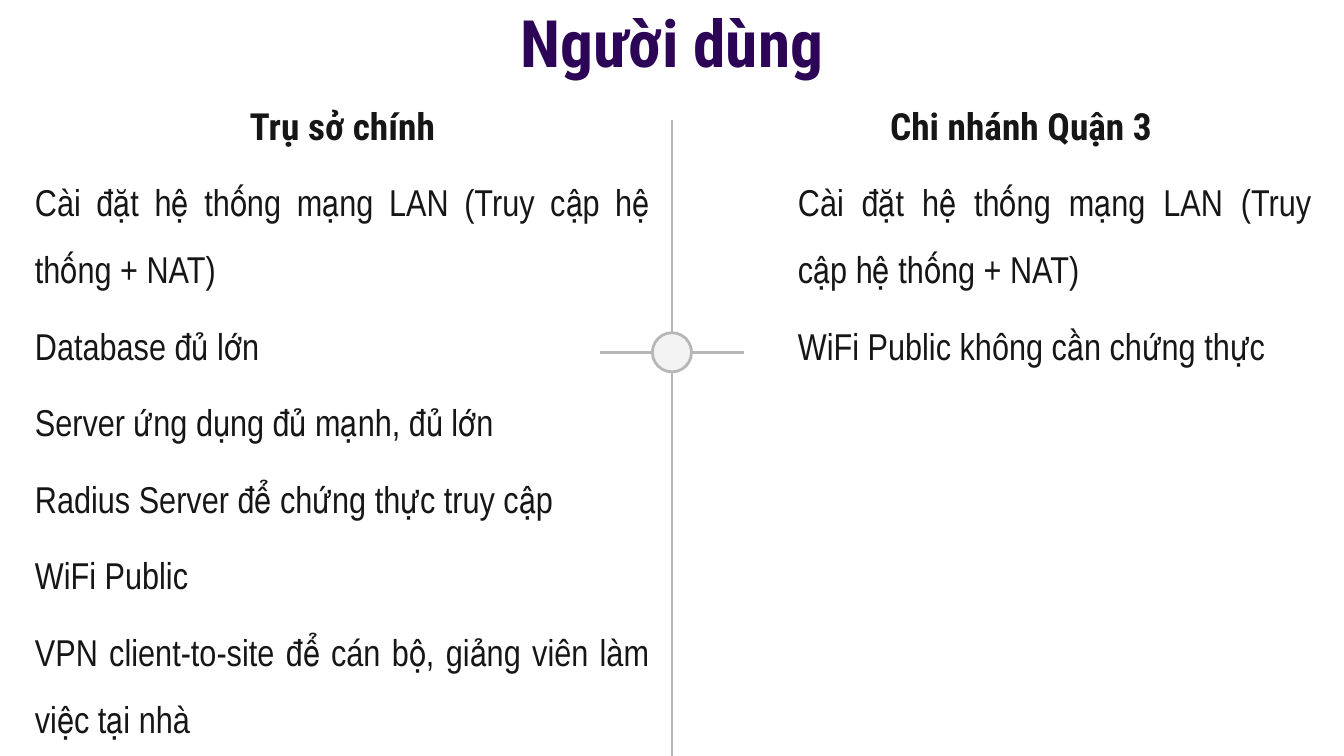
from lxml import etree
from pptx import Presentation
from pptx.dml.color import RGBColor
from pptx.enum.shapes import MSO_CONNECTOR, MSO_SHAPE
from pptx.enum.text import MSO_ANCHOR, MSO_AUTO_SIZE, PP_ALIGN
from pptx.oxml.ns import qn
from pptx.util import Cm, Pt

STRAIGHT = MSO_CONNECTOR.STRAIGHT
OVAL = MSO_SHAPE.OVAL
TOP, BOTTOM = MSO_ANCHOR.TOP, MSO_ANCHOR.BOTTOM
CENTER, JUSTIFY = PP_ALIGN.CENTER, PP_ALIGN.JUSTIFY
NO_AUTOFIT = MSO_AUTO_SIZE.NONE

HEAD_FONT, BODY_FONT = "Roboto Condensed", "Arial Narrow"
PURPLE, INK, GREY, PALE = "2D0557", "161616", "B7B7B7", "F3F3F3"
WIDTH, HEIGHT = 25.4, 14.29
CENTER_X, NODE_Y = WIDTH / 2, 6.66
NODE_SIZE, ARM = 0.74, 1.0

LAN = "Cài đặt hệ thống mạng LAN (Truy cập hệ thống + NAT)"
HEADQUARTERS = [
    LAN,
    "Database đủ lớn",
    "Server ứng dụng đủ mạnh, đủ lớn",
    "Radius Server để chứng thực truy cập",
    "WiFi Public",
    "VPN client-to-site để cán bộ, giảng viên làm việc tại nhà",
]
BRANCH = [LAN, "WiFi Public không cần chứng thực"]


def rgb(color):
    return RGBColor.from_string(color)


def place(sp, left, top, width, height, anchor=TOP):
    """Move a text placeholder and give it even insets; return its text frame."""
    sp.left, sp.top, sp.width, sp.height = map(Cm, (left, top, width, height))
    tf = sp.text_frame
    tf.word_wrap = True
    tf.auto_size = NO_AUTOFIT
    tf.vertical_anchor = anchor
    tf.margin_left = tf.margin_right = tf.margin_top = tf.margin_bottom = Cm(0.25)
    return tf


def write(p, text, size=20, font=BODY_FONT, color=INK, bold=False,
          align=JUSTIFY, spacing=1.5, before=5, indent=0):
    p.alignment = align
    p.line_spacing = spacing
    p.space_before = Pt(before)
    pPr = p._p.get_or_add_pPr()
    pPr.set("marL", str(Cm(indent)))
    pPr.set("indent", "0")
    etree.SubElement(pPr, qn("a:buNone"))
    r = p.add_run()
    r.text = text
    r.font.size, r.font.name, r.font.bold = Pt(size), font, bold
    r.font.color.rgb = rgb(color)


def fill_column(tf, heading, items, indent=0):
    write(tf.paragraphs[0], heading, font=HEAD_FONT, bold=True, align=CENTER)
    for item in items:
        write(tf.add_paragraph(), item, indent=indent)


def style_line(line):
    line.color.rgb = rgb(GREY)
    line.width = Pt(1.5)


def add_line(s, x1, y1, x2, y2):
    line = s.shapes.add_connector(STRAIGHT, Cm(x1), Cm(y1), Cm(x2), Cm(y2))
    style_line(line.line)
    etree.SubElement(line._element.spPr, qn("a:effectLst"))


def add_divider(s):
    """Vertical line with a round node and a short arm on each side."""
    add_line(s, CENTER_X, 2.26, CENTER_X, HEIGHT)
    radius = NODE_SIZE / 2
    for side in (-1, 1):
        edge = CENTER_X + side * radius
        add_line(s, edge, NODE_Y, edge + side * ARM, NODE_Y)
    node = s.shapes.add_shape(OVAL, Cm(CENTER_X - radius), Cm(NODE_Y - radius),
                              Cm(NODE_SIZE), Cm(NODE_SIZE))
    node.shadow.inherit = False
    node.fill.solid()
    node.fill.fore_color.rgb = rgb(PALE)
    style_line(node.line)


def main():
    prs = Presentation()
    prs.slide_width, prs.slide_height = Cm(WIDTH), Cm(HEIGHT)
    s = prs.slides.add_slide(prs.slide_layouts[3])
    title, left, right = s.placeholders

    tf = place(title, 0, 0.43, WIDTH, 1.35, anchor=BOTTOM)
    write(tf.paragraphs[0], "Người dùng", size=35, font=HEAD_FONT, color=PURPLE,
          bold=True, align=CENTER, spacing=1.0, before=0)
    add_divider(s)
    fill_column(place(left, 0.41, 1.27, 12.12, 13.02), "Trụ sở chính", HEADQUARTERS)
    fill_column(place(right, 13.56, 1.27, 11.48, 6.27), "Chi nhánh Quận 3", BRANCH,
                indent=1.27)
    prs.save("out.pptx")


if __name__ == "__main__":
    main()
